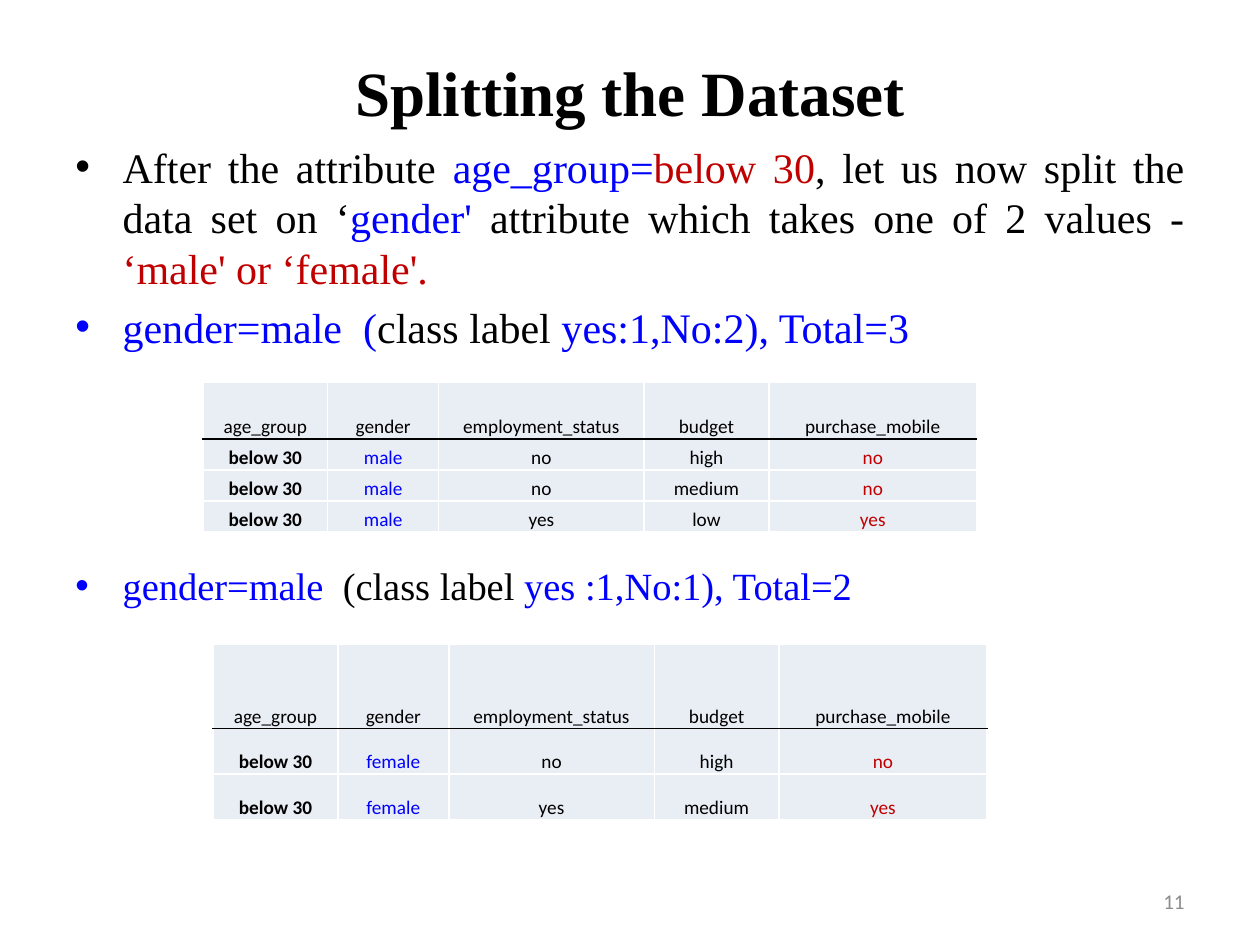
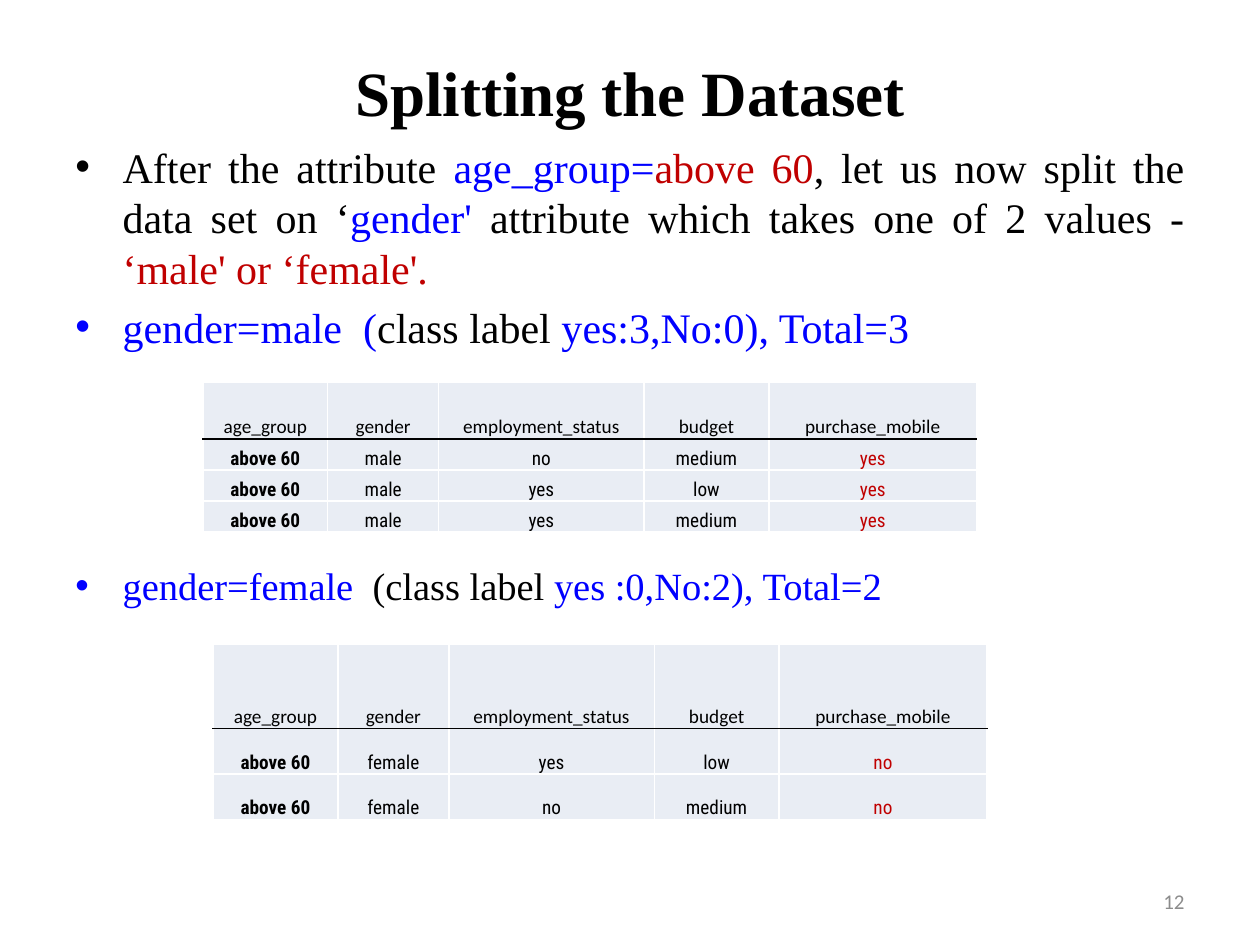
from lxml import etree
from pptx import Presentation, util as u
from pptx.dml.color import RGBColor
from pptx.enum import text
from pptx.oxml import ns

COLORS = {"black": "000000", "blue": "0000FF", "red": "C00000",
          "gray": "8C8C8C", "white": "FFFFFF", "cell": "E9EDF4"}
SERIF, SANS, CONDENSED = "Times New Roman", "Calibri", "Roboto Condensed"
HEADER = ["age_group", "gender", "employment_status", "budget", "purchase_mobile"]
COLUMN_WIDTHS = [71.3, 63.4, 117.4, 71.3, 118.8]
ALIGN = text.PP_ALIGN
ANCHOR = text.MSO_ANCHOR


class Deck:
    def __init__(self):
        self.presentation = Presentation()
        self.presentation.slide_width = u.Pt(720)
        self.presentation.slide_height = u.Pt(540)
        self.slide = None

    def add_slide(self):
        self.slide = self.presentation.slides.add_slide(self.presentation.slide_layouts[6])

    def format_run(self, run, size, color, font=SERIF, bold=False):
        run.font.size = u.Pt(size)
        run.font.name = font
        run.font.bold = bold
        run.font.color.rgb = RGBColor.from_string(COLORS[color])

    def text_box(self, left, top, width, height, anchor=ANCHOR.TOP):
        shape = self.slide.shapes.add_textbox(*map(u.Pt, (left, top, width, height)))
        shape.text_frame.word_wrap = True
        shape.text_frame.vertical_anchor = anchor
        return shape.text_frame

    def label(self, box, words, align, size, color, font, bold=False):
        """Add one line of text, centred vertically in its box."""
        frame = self.text_box(*box, anchor=ANCHOR.MIDDLE)
        frame.text = words
        paragraph = frame.paragraphs[0]
        paragraph.alignment = align
        self.format_run(paragraph.runs[0], size, color, font, bold)

    def title(self, words):
        self.label((36, 21.6, 648, 61.2), words, ALIGN.CENTER, 36, "black", SERIF, True)

    def page_number(self, number):
        self.label((516, 500.4, 168, 28.8), str(number), ALIGN.RIGHT, 12, "gray", SANS)

    def bullet(self, paragraph, pieces, size, line, before=0, align=ALIGN.JUSTIFY):
        """Fill a bulleted paragraph with (words, color) pieces."""
        properties = paragraph._p.get_or_add_pPr()
        properties.set("marL", str(u.Pt(27)))
        properties.set("indent", str(u.Pt(-27)))
        etree.SubElement(properties, ns.qn("a:buFont")).set("typeface", "Arial")
        etree.SubElement(properties, ns.qn("a:buChar")).set("char", "•")
        paragraph.alignment = align
        paragraph.line_spacing = u.Pt(line)
        paragraph.space_before = u.Pt(before)
        for words, color in pieces:
            run = paragraph.add_run()
            run.text = words
            self.format_run(run, size, color)

    def body(self, age_group, male_heading, female_heading):
        frame = self.text_box(36, 77, 648, 442)
        introduction = [
            ("After the attribute ", "black"), ("age_group=", "blue"), (age_group, "red"),
            (", let us now split the data set on ‘", "black"), ("gender'", "blue"),
            (" attribute which takes one of 2 values - ", "black"),
            ("‘male' or ‘female'.", "red")]
        self.bullet(frame.paragraphs[0], introduction, 24, 28.9)
        self.bullet(frame.add_paragraph(), male_heading, 24, 28.9, 4.8)
        self.bullet(frame.add_paragraph(), female_heading, 22, 26.5, 120, ALIGN.LEFT)

    def borders(self, cell, top, bottom):
        properties = cell._tc.get_or_add_tcPr()
        sides = {"L": "white", "R": "white", "T": top, "B": bottom}
        for side, color in sides.items():
            line = etree.SubElement(properties, ns.qn(f"a:ln{side}"), w=str(u.Pt(1)))
            fill = etree.SubElement(line, ns.qn("a:solidFill"))
            etree.SubElement(fill, ns.qn("a:srgbClr"), val=COLORS[color])

    def cell(self, cell, words, color, font, bold):
        cell.text = words
        cell.vertical_anchor = ANCHOR.BOTTOM
        cell.margin_left = cell.margin_right = cell.margin_top = u.Pt(0.7)
        cell.margin_bottom = 0
        cell.fill.solid()
        cell.fill.fore_color.rgb = RGBColor.from_string(COLORS["cell"])
        paragraph = cell.text_frame.paragraphs[0]
        paragraph.alignment = ALIGN.CENTER
        self.format_run(paragraph.runs[0], 11, color, font, bold)

    def table(self, left, top, header_height, row_height, rows, font, gender_color):
        heights = [header_height] + [row_height] * len(rows)
        shape = self.slide.shapes.add_table(
            len(heights), len(HEADER), u.Pt(left), u.Pt(top),
            u.Pt(sum(COLUMN_WIDTHS)), u.Pt(sum(heights)))
        table = shape.table
        table.first_row = table.horz_banding = False
        for column, width in zip(table.columns, COLUMN_WIDTHS):
            column.width = u.Pt(width)
        for row, height in zip(table.rows, heights):
            row.height = u.Pt(height)
        row_colors = ["black", gender_color, "black", "black", "red"]
        for r, values in enumerate([HEADER] + rows):
            for c, words in enumerate(values):
                cell = table.cell(r, c)
                self.borders(cell, "black" if r == 1 else "white",
                             "black" if r == 0 else "white")
                if r == 0:
                    self.cell(cell, words, "black", SANS, False)
                else:
                    self.cell(cell, words, row_colors[c], font, c == 0)

    def split_slide(self, number, age_group, male_counts, female_name, female_counts,
                    male_rows, female_rows, font, gender_color):
        """Show how one age group splits by gender."""
        self.add_slide()
        self.title("Splitting the Dataset")
        self.body(
            age_group,
            [("gender=male  (", "blue"), ("class label ", "black"), (male_counts, "blue")],
            [(f"gender={female_name}  ", "blue"), ("(class label ", "black"),
             (female_counts, "blue")])
        self.page_number(number)
        male_table = [[age_group, "male", *row] for row in male_rows]
        female_table = [[age_group, "female", *row] for row in female_rows]
        self.table(116, 218.4, 32.4, 17.7, male_table, font, gender_color)
        self.table(121.8, 368.2, 48, 26, female_table, font, gender_color)


def main():
    deck = Deck()
    deck.split_slide(
        11, "below 30", "yes:1,No:2), Total=3", "male", "yes :1,No:1), Total=2",
        [("no", "high", "no"), ("no", "medium", "no"), ("yes", "low", "yes")],
        [("no", "high", "no"), ("yes", "medium", "yes")],
        SANS, "blue")
    deck.split_slide(
        12, "above 60", "yes:3,No:0), Total=3", "female", "yes :0,No:2), Total=2",
        [("no", "medium", "yes"), ("yes", "low", "yes"), ("yes", "medium", "yes")],
        [("yes", "low", "no"), ("no", "medium", "no")],
        CONDENSED, "black")
    deck.presentation.save("out.pptx")


if __name__ == "__main__":
    main()
